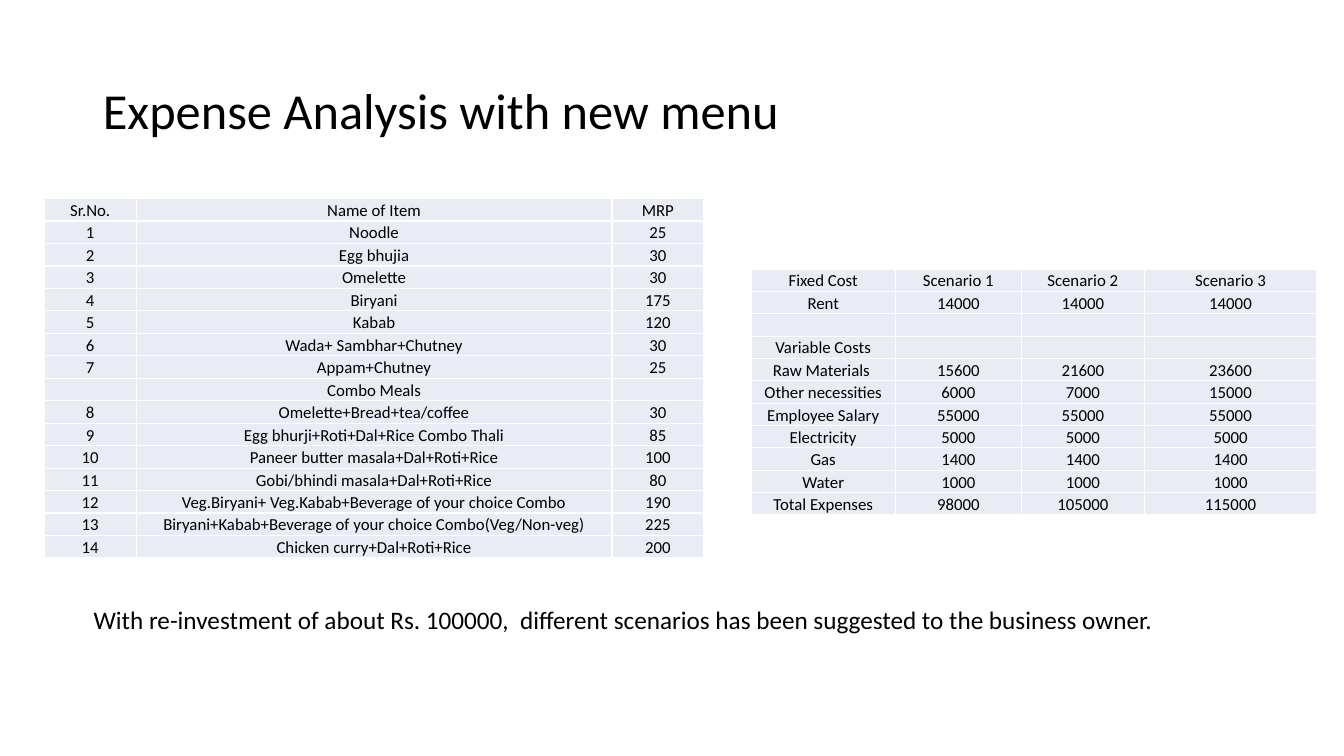
from lxml.etree import SubElement
from pptx import Presentation
from pptx.dml.color import RGBColor
from pptx.enum.text import MSO_ANCHOR as Anchor, PP_ALIGN as Align
from pptx.oxml.ns import qn
from pptx.util import Inches, Pt

FONT = "Calibri"
BLACK = "000000"
CELL_FILL = "E9EBF5"
CELL_SIZE = 12

MENU = [
    ("Sr.No.", "Name of Item", "MRP"),
    (1, "Noodle", 25),
    (2, "Egg bhujia", 30),
    (3, "Omelette", 30),
    (4, "Biryani", 175),
    (5, "Kabab", 120),
    (6, "Wada+ Sambhar+Chutney", 30),
    (7, "Appam+Chutney", 25),
    ("", "Combo Meals", ""),
    (8, "Omelette+Bread+tea/coffee", 30),
    (9, "Egg bhurji+Roti+Dal+Rice Combo Thali", 85),
    (10, "Paneer butter masala+Dal+Roti+Rice", 100),
    (11, "Gobi/bhindi masala+Dal+Roti+Rice", 80),
    (12, "Veg.Biryani+ Veg.Kabab+Beverage of your choice Combo", 190),
    (13, "Biryani+Kabab+Beverage of your choice Combo(Veg/Non-veg)", 225),
    (14, "Chicken curry+Dal+Roti+Rice", 200),
]

COSTS = [
    ("Fixed Cost", "Scenario 1", "Scenario 2", "Scenario 3"),
    ("Rent", 14000, 14000, 14000),
    ("", "", "", ""),
    ("Variable Costs", "", "", ""),
    ("Raw Materials ", 15600, 21600, 23600),
    ("Other necessities", 6000, 7000, 15000),
    ("Employee Salary", 55000, 55000, 55000),
    ("Electricity", 5000, 5000, 5000),
    ("Gas", 1400, 1400, 1400),
    ("Water", 1000, 1000, 1000),
    ("Total Expenses", 98000, 105000, 115000),
]


def color(hex_string):
    return RGBColor.from_string(hex_string)


def format_paragraph(paragraph, size, alignment=Align.LEFT):
    paragraph.alignment = alignment
    paragraph.font.name = FONT
    paragraph.font.size = Pt(size)
    paragraph.font.color.rgb = color(BLACK)


def set_title(slide, text, left, top, width, height):
    title = slide.shapes.title
    title.left, title.top = Inches(left), Inches(top)
    title.width, title.height = Inches(width), Inches(height)
    title.text_frame.text = text
    title.text_frame.vertical_anchor = Anchor.MIDDLE
    paragraph = title.text_frame.paragraphs[0]
    format_paragraph(paragraph, 36)
    paragraph.line_spacing = 0.9


def add_text(slide, text, left, top, width, height):
    box = slide.shapes.add_textbox(Inches(left), Inches(top), Inches(width), Inches(height))
    box.text_frame.word_wrap = True
    box.text_frame.text = text
    format_paragraph(box.text_frame.paragraphs[0], 18)


def fill_cell(cell, value):
    cell.fill.solid()
    cell.fill.fore_color.rgb = color(CELL_FILL)
    cell.vertical_anchor = Anchor.BOTTOM
    cell.margin_left = cell.margin_right = cell.margin_top = Inches(0.01)
    cell.margin_bottom = 0
    cell.text = str(value)
    paragraph = cell.text_frame.paragraphs[0]
    format_paragraph(paragraph, CELL_SIZE, Align.CENTER)
    if value == "":
        # An empty cell takes its line height from the end mark
        SubElement(paragraph._p, qn("a:endParaRPr"), sz=str(CELL_SIZE * 100))


def add_table(slide, rows, left, top, column_widths, height):
    frame = slide.shapes.add_table(
        len(rows), len(column_widths),
        Inches(left), Inches(top), Inches(sum(column_widths)), Inches(height))
    table = frame.table
    table.first_row = table.horz_banding = False
    for column, width in zip(table.columns, column_widths):
        column.width = Inches(width)
    for row, values in zip(table.rows, rows):
        for cell, value in zip(row.cells, values):
            fill_cell(cell, value)


def main():
    presentation = Presentation()
    presentation.slide_width, presentation.slide_height = Inches(13.33), Inches(7.5)
    slide = presentation.slides.add_slide(presentation.slide_layouts[5])

    # Heading and closing remark
    set_title(slide, "Expense Analysis with new menu", 0.92, 0.4, 11.5, 1.45)
    add_text(slide, "With re-investment of about Rs. 100000,  different scenarios "
             "has been suggested to the business owner.", 0.83, 5.95, 11.67, 0.4)

    # Menu prices and cost scenarios
    add_table(slide, MENU, 0.44, 1.97, [0.91, 4.72, 0.91], 3.57)
    add_table(slide, COSTS, 7.45, 2.67, [1.43, 1.25, 1.22, 1.71], 2.44)

    presentation.save("out.pptx")


if __name__ == "__main__":
    main()
